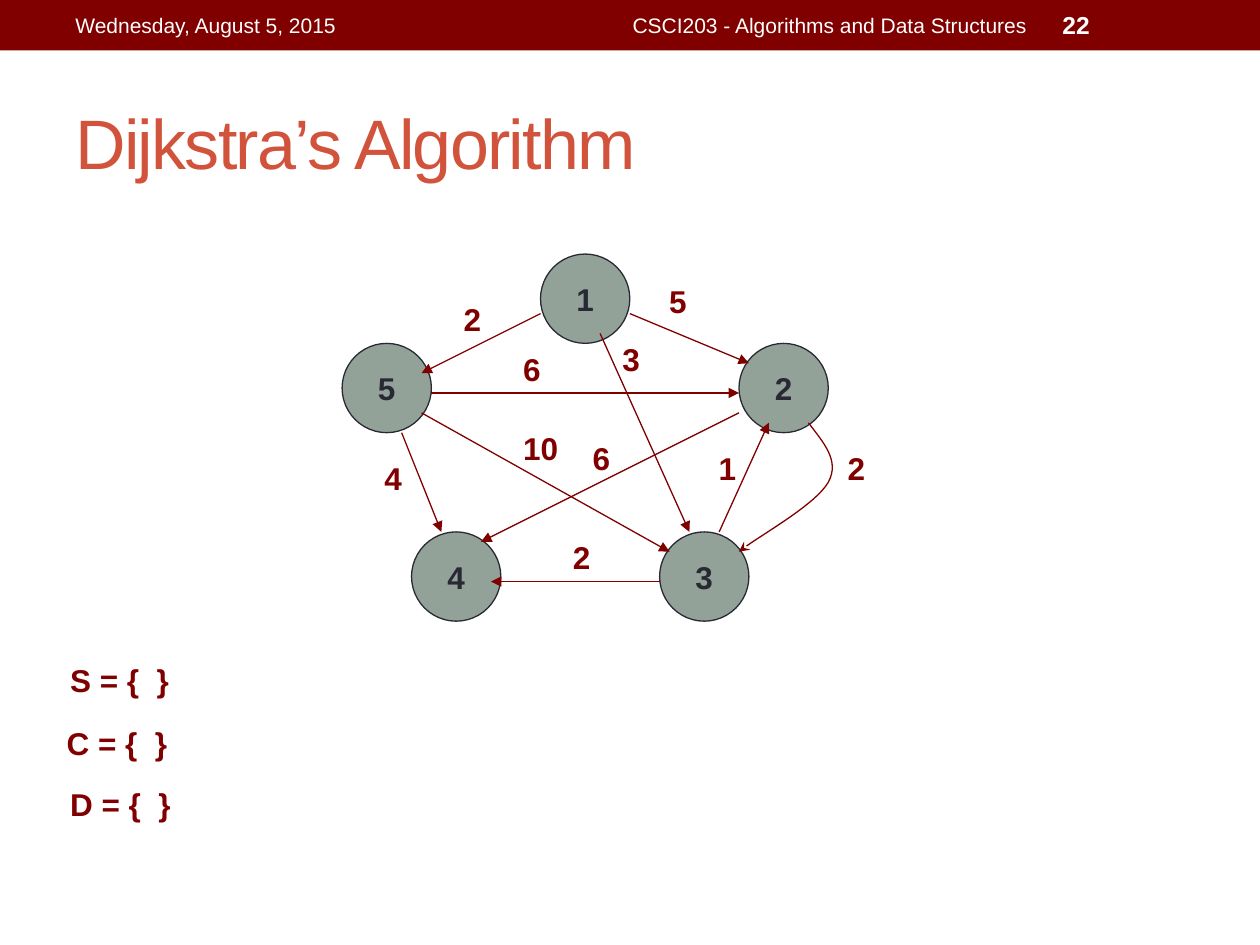
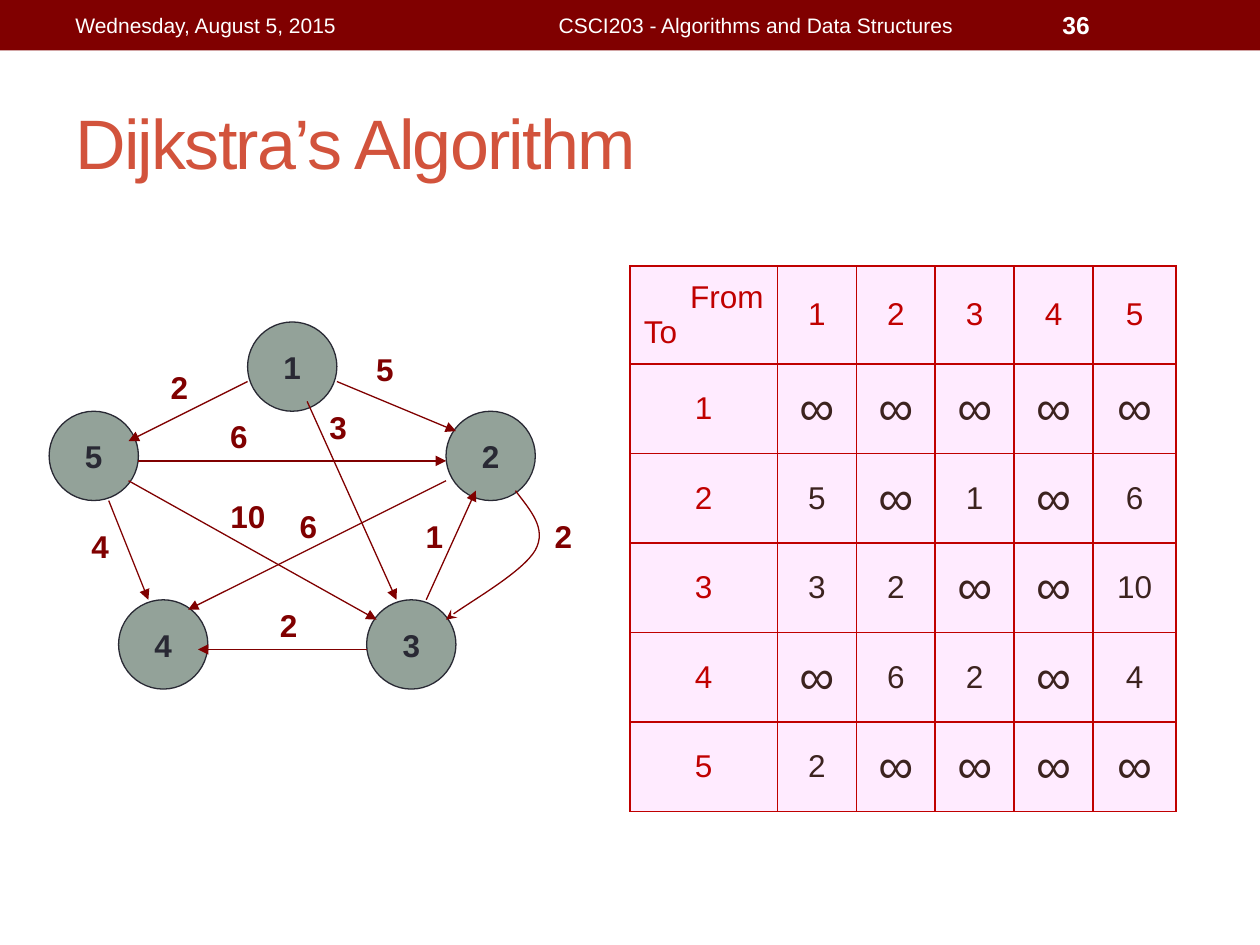
from dataclasses import dataclass

from lxml import etree
from pptx import Presentation
from pptx import util as u
from pptx.dml.color import RGBColor
from pptx.enum import shapes, text
from pptx.oxml.ns import qn


@dataclass(frozen=True)
class Theme:
    font: str = "Arial"
    maroon: str = "800000"
    title: str = "D2533C"
    node: str = "93A299"
    dark: str = "292934"
    white: str = "FFFFFF"
    cell: str = "FFEBFF"
    heading: str = "C00000"
    value: str = "3C231F"
    title_size: int = 40
    infinity_size: int = 28
    body_size: int = 18
    number_size: int = 14
    footer_size: int = 12
    line_width: float = 0.75


LEFT, CENTER, RIGHT = text.PP_ALIGN.LEFT, text.PP_ALIGN.CENTER, text.PP_ALIGN.RIGHT
UNIT = 5.67
NODE_SIZE = 9
NODES = {1: (20, 0), 2: (40, 9), 3: (32, 28), 4: (7, 28), 5: (0, 9)}
EDGES = {
    (1, 2): (5, (29, 6), (41, 11), (31.7, 2.2)),
    (1, 5): (2, (20, 6), (8, 12), (11, 4)),
    (1, 3): (3, (26, 8), (35, 28), (27, 8)),
    (5, 2): (6, (9, 14), (40, 14), (17, 9)),
    (5, 4): (4, (6, 18), (10, 28), (3, 20)),
    (3, 4): (2, (32, 33), (15, 33), (22, 28)),
    (3, 2): (1, (38, 28), (43, 17), (36.7, 19)),
    (2, 4): (6, (40, 16), (14, 29), (24, 18)),
    (5, 3): (10, (8, 16), (33, 30), (17, 17)),
    (2, 3): (2, (47, 17), (40, 30), (49.7, 19)),
}
BENDS = {(2, 3): [(48.5, 19), (50.2, 20.8), (49, 23), (47.75, 25.15), (41.4, 28.8)]}


class Deck:
    """Builds slides in one style, with a method for each kind of element."""

    def __init__(self, theme):
        self.theme = theme
        self.presentation = Presentation()
        self.presentation.slide_width = u.Pt(720)
        self.presentation.slide_height = u.Pt(540)
        self.shapes = None

    def words(self, paragraph, wording, color, size=None, bold=False, align=LEFT):
        paragraph.alignment = align
        run = paragraph.add_run()
        run.text = wording
        values = {"name": self.theme.font, "size": u.Pt(size or self.theme.body_size), "bold": bold}
        for name, value in values.items():
            setattr(run.font, name, value)
        run.font.color.rgb = RGBColor.from_string(color)
        return run

    def label(self, wording, left, top, width, height, color, wrap=False,
              anchor=text.MSO_ANCHOR.TOP, **style):
        box = self.shapes.add_textbox(*map(u.Pt, (left, top, width, height)))
        box.text_frame.word_wrap = wrap
        box.text_frame.vertical_anchor = anchor
        return self.words(box.text_frame.paragraphs[0], wording, color, **style)

    def shape(self, kind, left, top, width, height, fill, line=None):
        shape = self.shapes.add_shape(kind, *map(u.Pt, (left, top, width, height)))
        shape.shadow.inherit = False
        shape.fill.solid()
        shape.fill.fore_color.rgb = RGBColor.from_string(fill)
        if line:
            self.outline(shape, line)
        else:
            shape.line.fill.background()
        return shape

    def outline(self, shape, color, arrowhead=None):
        shape.line.color.rgb = RGBColor.from_string(color)
        shape.line.width = u.Pt(self.theme.line_width)
        if arrowhead:
            line = shape.line._get_or_add_ln()
            etree.SubElement(line, qn("a:tailEnd"), type=arrowhead)

    def node(self, number, left, top):
        size = NODE_SIZE * UNIT
        shape = self.shape(shapes.MSO_SHAPE.OVAL, left, top, size, size,
                           self.theme.node, self.theme.dark)
        shape.text_frame.word_wrap = False
        shape.text_frame.vertical_anchor = text.MSO_ANCHOR.MIDDLE
        self.words(shape.text_frame.paragraphs[0], str(number), self.theme.dark,
                   bold=True, align=CENTER)

    def arrow(self, start, end):
        connector = self.shapes.add_connector(
            shapes.MSO_CONNECTOR.STRAIGHT, *map(u.Pt, (*start, *end)))
        self.outline(connector, self.theme.maroon, "triangle")
        etree.SubElement(connector._element.spPr, qn("a:effectLst"))

    def curve(self, start, points):
        builder = self.shapes.build_freeform(*map(u.Pt, start))
        builder.add_line_segments([tuple(map(u.Pt, point)) for point in points], close=False)
        shape = builder.convert_to_shape()
        shape.shadow.inherit = False
        shape.fill.background()
        self.outline(shape, self.theme.maroon, "stealth")
        segments = list(shape._element.iter(qn("a:lnTo")))
        for first in range(0, len(segments), 3):
            bezier = etree.Element(qn("a:cubicBezTo"))
            segments[first].addprevious(bezier)
            for segment in segments[first:first + 3]:
                bezier.append(segment[0])
                segment.getparent().remove(segment)

    def graph(self, left, top):
        def place(point):
            return left + point[0] * UNIT, top + point[1] * UNIT

        slide_shapes = self.shapes
        self.shapes = slide_shapes.add_group_shape().shapes
        for number, corner in NODES.items():
            self.node(number, *place(corner))
        for pair, (cost, start, end, corner) in EDGES.items():
            if pair in BENDS:
                self.curve(place(start), [place(point) for point in BENDS[pair] + [end]])
            else:
                self.arrow(place(start), place(end))
            self.label(str(cost), *place(corner), 14.5 + 10 * len(str(cost)), 29,
                       self.theme.maroon, bold=True)
        self.shapes = slide_shapes

    def cell(self, cell, lines, color, size=None):
        values = {"margin_left": u.Pt(7.92), "margin_right": u.Pt(7.92),
                  "margin_top": u.Pt(3.6), "margin_bottom": u.Pt(3.6),
                  "vertical_anchor": text.MSO_ANCHOR.MIDDLE}
        for name, value in values.items():
            setattr(cell, name, value)
        for index, (wording, align) in enumerate(lines):
            frame = cell.text_frame
            paragraph = frame.add_paragraph() if index else frame.paragraphs[0]
            self.words(paragraph, wording, color, size, align=align)
        properties = cell._tc.get_or_add_tcPr()
        for side in ("lnL", "lnR", "lnT", "lnB"):
            border = etree.SubElement(properties, qn(f"a:{side}"), w=str(u.Pt(1)))
            fill = etree.SubElement(border, qn("a:solidFill"))
            etree.SubElement(fill, qn("a:srgbClr"), val=self.theme.heading)
        cell.fill.solid()
        cell.fill.fore_color.rgb = RGBColor.from_string(self.theme.cell)

    def cost_table(self, left, top):
        widths = [84.24] + [45.1] * 4 + [47.4]
        heights = [56] + [51.15] * 5
        frame = self.shapes.add_table(len(heights), len(widths), *map(
            u.Pt, (left, top, sum(widths), sum(heights))))
        table = frame.table
        table.first_row = table.horz_banding = False
        for column, width in zip(table.columns, widths):
            column.width = u.Pt(width)
        for row, height in zip(table.rows, heights):
            row.height = u.Pt(height)
        self.cell(table.cell(0, 0), [("From", RIGHT), ("To", LEFT)], self.theme.heading)
        for target in NODES:
            for header in (table.cell(0, target), table.cell(target, 0)):
                self.cell(header, [(str(target), CENTER)], self.theme.heading)
            for source in NODES:
                edge = EDGES.get((source, target))
                wording = str(edge[0]) if edge else "∞"
                size = self.theme.body_size if edge else self.theme.infinity_size
                self.cell(table.cell(target, source), [(wording, CENTER)], self.theme.value, size)

    def slide(self, number, course_align):
        theme = self.theme
        self.shapes = self.presentation.slides.add_slide(
            self.presentation.slide_layouts[6]).shapes
        self.shape(shapes.MSO_SHAPE.RECTANGLE, 0, 0, 720, 28.8, theme.maroon)
        middle = {"wrap": True, "anchor": text.MSO_ANCHOR.MIDDLE}
        title = self.label("Dijkstra’s Algorithm", 36, 42, 648, 78, theme.title,
                           size=theme.title_size, **middle)
        title._r.get_or_add_rPr().set("spc", "-100")
        footers = [
            ("Wednesday, August 5, 2015", 36, 228, theme.footer_size, False, LEFT),
            ("CSCI203 - Algorithms and Data Structures", 270, 324, theme.footer_size,
             False, course_align),
            (str(number), 600, 84, theme.number_size, True, LEFT),
        ]
        for wording, left, width, size, bold, align in footers:
            self.label(wording, left, 1.4, width, 26, theme.white, size=size, bold=bold,
                       align=align, **middle)


def main():
    deck = Deck(Theme())
    deck.slide(22, RIGHT)
    deck.graph(195.5, 145.2)
    for wording, left, top in (("S = {  }", 33, 374), ("C = {  }", 31, 410), ("D = {  }", 33, 445)):
        deck.label(wording, left, top, 72, 29, deck.theme.maroon, bold=True)
    deck.slide(36, CENTER)
    deck.graph(28.1, 184)
    deck.cost_table(360, 152)
    deck.presentation.save("out.pptx")


if __name__ == "__main__":
    main()
